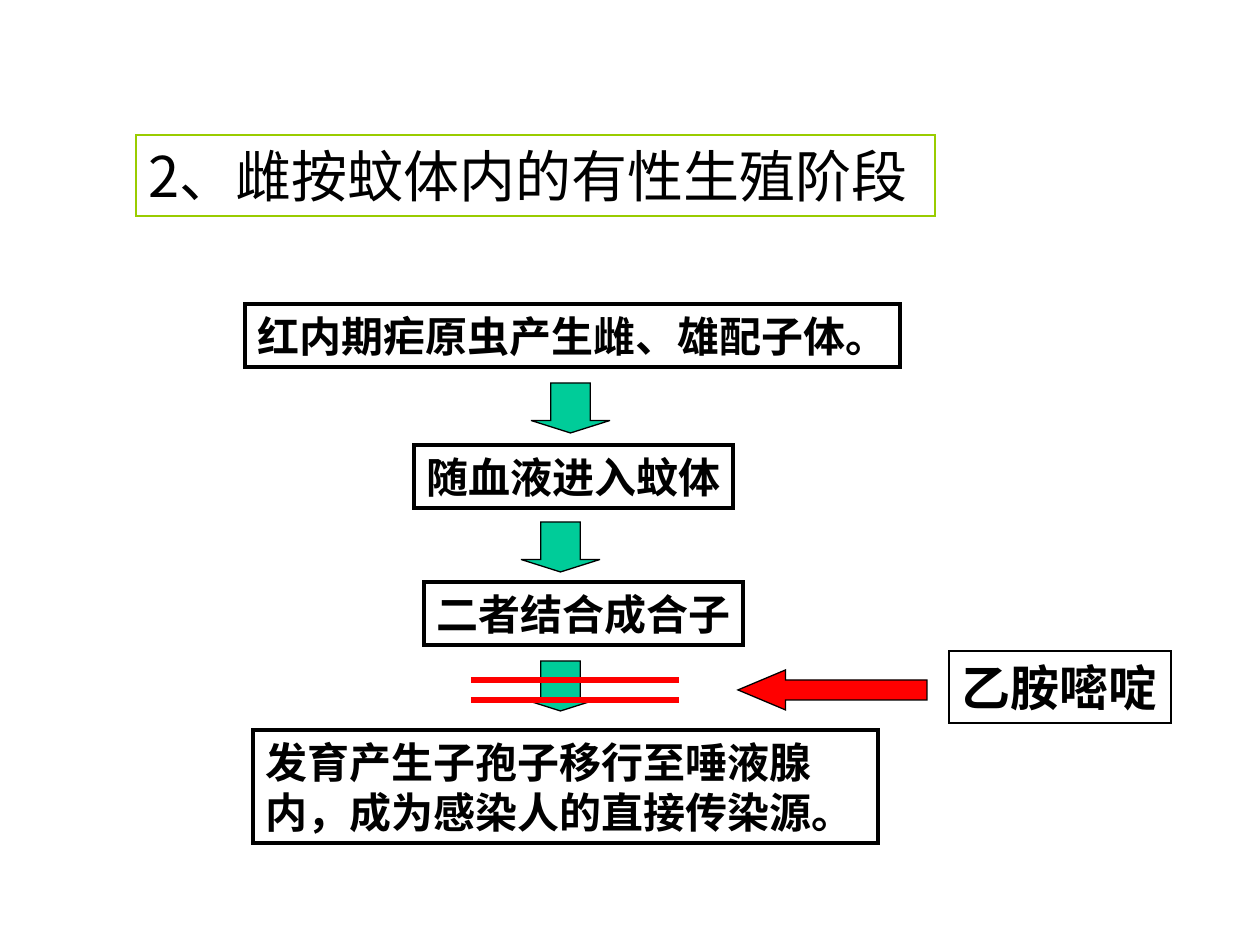
from pptx import Presentation, util as u
from pptx.dml.color import RGBColor
from pptx.enum import shapes as s, text as t
from pptx.oxml.ns import qn
from lxml import etree

PX = 914400 // 126
HUES = {"ink": "000000", "lime": "99CC00", "teal": "00CC99", "red": "FF0000"}
SANS, SERIF = "Noto Sans CJK SC", "Times New Roman"


def hue(name):
    return RGBColor.from_string(HUES[name])


def scale(*px):
    return [u.Emu(n * PX) for n in px]


def put(item, **vals):
    for key, val in vals.items():
        setattr(item, key, val)


def shape(slide, kind, box, line, width, fill=None):
    item = slide.shapes.add_shape(kind, *scale(*box))
    item.shadow.inherit = False
    if fill:
        item.fill.solid()
        item.fill.fore_color.rgb = hue(fill)
    else:
        item.fill.background()
    item.line.color.rgb = hue(line)
    item.line.width = u.Pt(width)
    edge = item._element.spPr.find(qn("a:ln"))
    etree.SubElement(edge, qn("a:miter")).set("lim", "800000")
    return item


def label(slide, box, words, size, line="ink", width=2.25, font=SERIF, bold=True, wrap=False):
    """Outlined box with left-aligned text."""
    item = shape(slide, s.MSO_SHAPE.RECTANGLE, box, line, width)
    frame = item.text_frame
    put(frame, word_wrap=wrap, auto_size=t.MSO_AUTO_SIZE.SHAPE_TO_FIT_TEXT,
        vertical_anchor=t.MSO_ANCHOR.TOP)
    para = frame.paragraphs[0]
    para.alignment = t.PP_ALIGN.LEFT
    para._p.get_or_add_pPr().set("hangingPunct", "0")
    run = para.add_run()
    run.text = words
    put(run.font, name=font, size=u.Pt(size), bold=bold)
    run.font.color.rgb = hue("ink")
    east = etree.SubElement(run.font._element, qn("a:ea"))
    east.set("typeface", SANS)


def arrow(slide, kind, box, fill, head):
    item = shape(slide, kind, box, "ink", 0.75, fill)
    item.adjustments[0] = 0.5
    item.adjustments[1] = head


def flow(slide, left, top):
    steps = [
        (0, 0, 655, 63, "红内期疟原虫产生雌、雄配子体。"),
        (169, 141, 319, 63, "随血液进入蚊体"),
        (179, 278, 319, 63, "二者结合成合子"),
        (8, 426, 625, 113, "发育产生子孢子移行至唾液腺内，成为感染人的直接传染源。"),
    ]
    for x, y, wide, high, words in steps:
        label(slide, (left + x, top + y, wide, high), words, 24, wrap=high > 63)
    for x, y in [(286, 79), (276, 218), (276, 357)]:
        arrow(slide, s.MSO_SHAPE.DOWN_ARROW, (left + x, top + y, 79, 50), "teal", 0.25)


def drug(slide, left, top):
    """Drug name with the arrow that points at the blocked step."""
    label(slide, (left + 211, top, 222, 72), "乙胺嘧啶", 28, width=1.5)
    arrow(slide, s.MSO_SHAPE.LEFT_ARROW, (left, top + 19, 189, 40), "red", 1.19)


def block(slide, left, top, wide, gap):
    """Two red bars that cross out a step."""
    for y in (top, top + gap):
        bar = slide.shapes.add_connector(
            s.MSO_CONNECTOR.STRAIGHT, *scale(left, y, left + wide, y))
        bar.line.color.rgb = hue("red")
        bar.line.width = u.Pt(3)
        etree.SubElement(bar._element.spPr, qn("a:effectLst"))


def main():
    deck = Presentation()
    put(deck, slide_width=u.Inches(10), slide_height=u.Inches(7.5))
    slide = deck.slides.add_slide(deck.slide_layouts[6])
    label(slide, (136, 135, 799, 81), "2、雌按蚊体内的有性生殖阶段", 32,
          line="lime", width=1.5, font=SANS, bold=False)
    flow(slide, 245, 304)
    drug(slide, 738, 651)
    block(slide, 471, 680, 208, 20)
    deck.save("out.pptx")


if __name__ == "__main__":
    main()
